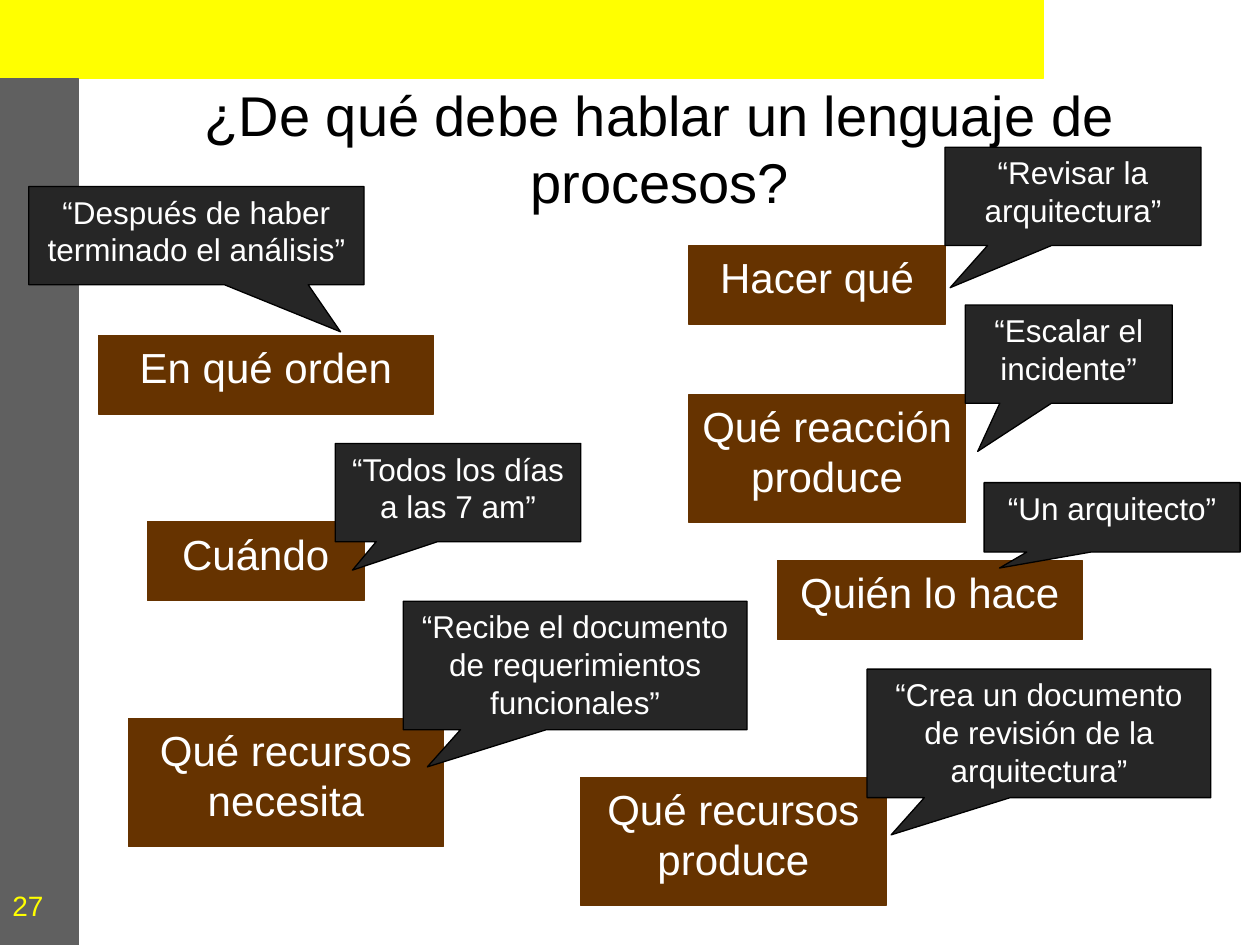
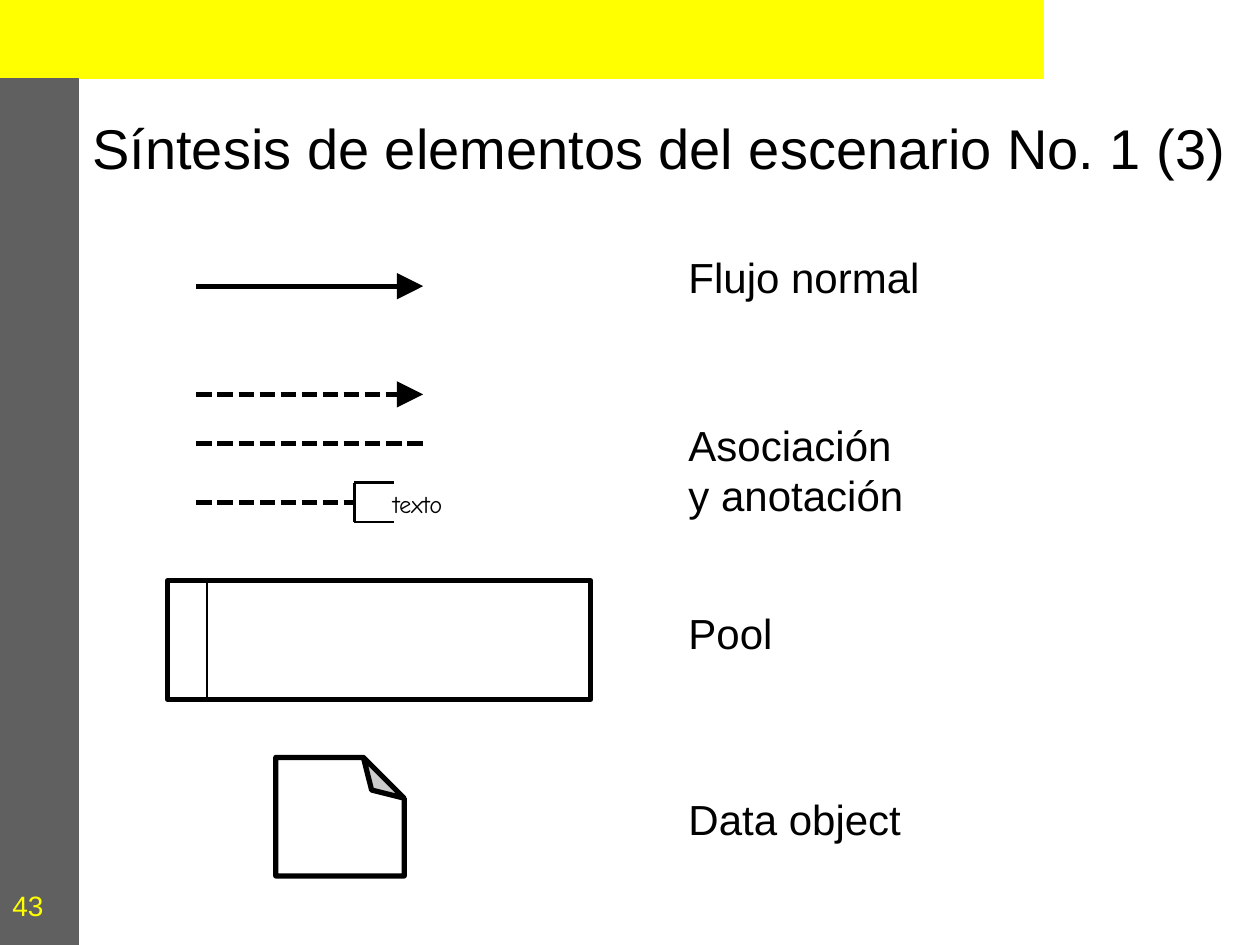
from lxml.etree import SubElement
from pptx import Presentation
from pptx.dml.color import RGBColor
from pptx.enum.dml import MSO_LINE as Dash
from pptx.enum.shapes import MSO_CONNECTOR as Link, MSO_SHAPE as Kind
from pptx.enum.text import MSO_ANCHOR as Anchor, MSO_AUTO_SIZE as Fit, PP_ALIGN as Align
from pptx.oxml.ns import qn
from pptx.util import Cm, Pt

BLACK = RGBColor(0x00, 0x00, 0x00)
WHITE = RGBColor(0xFF, 0xFF, 0xFF)
YELLOW = RGBColor(0xFF, 0xFF, 0x00)
GRAY = RGBColor(0x60, 0x60, 0x60)
BROWN = RGBColor(0x66, 0x33, 0x00)
DARK = RGBColor(0x26, 0x26, 0x26)

FONT = "Arial"
HAND = "Comic Neue"
BAND = 1.59

# Topics: left, top, width, height, text
TOPICS = [
    (13.89, 4.95, 5.16, 1.59, "Hacer qué"),
    (15.67, 11.3, 6.15, 1.59, "Quién lo hace"),
    (2.59, 14.48, 6.35, 2.59, "Qué recursos necesita"),
    (1.98, 6.76, 6.76, 1.59, "En qué orden"),
    (2.97, 10.52, 4.37, 1.59, "Cuándo"),
    (11.71, 15.67, 6.15, 2.59, "Qué recursos produce"),
    (13.89, 7.95, 5.57, 2.59, "Qué reacción produce"),
]

# Quotes: left, top, width, height, pointer, text
QUOTES = [
    (0.58, 3.76, 6.76, 1.98, (0.43, 0.98), "“Después de haber terminado el análisis”"),
    (6.76, 8.94, 4.95, 1.98, (-0.43, 0.79), "“Todos los días a las 7 am”"),
    (8.13, 12.12, 6.93, 2.59, (-0.43, 0.79),
     "“Recibe el documento de requerimientos funcionales”"),
    (17.48, 13.49, 6.93, 2.59, (-0.43, 0.79),
     "“Crea un documento de revisión de la arquitectura”"),
    (19.05, 2.97, 5.16, 1.98, (-0.48, 0.93), "“Revisar la arquitectura”"),
    (19.46, 6.15, 4.17, 1.98, (-0.44, 0.99), "“Escalar el incidente”"),
    (19.84, 9.73, 5.16, 1.4, (-0.44, 0.73), "“Un arquitecto”"),
]

# Legend: top, text
LEGEND = [
    (4.95, "Flujo normal"),
    (8.33, "Asociación y anotación"),
    (12.12, "Pool"),
    (15.88, "Data object"),
]


def write(frame, text, size, color, align=Align.LEFT, anchor=Anchor.TOP, font=FONT):
    frame.text = text
    frame.word_wrap = True
    frame.vertical_anchor = anchor
    para = frame.paragraphs[0]
    para.alignment = align
    style = para.runs[0].font
    style.name, style.size = font, Pt(size)
    style.color.rgb = color


def add_block(slide, kind, left, top, width, height, fill, line, weight=0.75):
    block = slide.shapes.add_shape(kind, Cm(left), Cm(top), Cm(width), Cm(height))
    block.shadow.inherit = False
    block.fill.solid()
    block.fill.fore_color.rgb = fill
    block.line.color.rgb = line
    block.line.width = Pt(weight)
    return block


def add_label(slide, left, top, width, height, text, size, color=BLACK, font=FONT):
    box = slide.shapes.add_textbox(Cm(left), Cm(top), Cm(width), Cm(height))
    write(box.text_frame, text, size, color, font=font)
    return box.text_frame


def add_tag(slide, left, top, width, height, text, size, font=FONT):
    frame = add_label(slide, left, top, width, height, text, size, font=font)
    frame.word_wrap = False
    frame.auto_size = Fit.SHAPE_TO_FIT_TEXT


def add_line(slide, x1, y1, x2, y2, weight, dash=False, arrow=False):
    line = slide.shapes.add_connector(Link.STRAIGHT, Cm(x1), Cm(y1), Cm(x2), Cm(y2))
    line.line.color.rgb = BLACK
    line.line.width = Pt(weight)
    if dash:
        line.line.dash_style = Dash.SQUARE_DOT
    props = line.element.spPr
    if arrow:
        SubElement(props.find(qn("a:ln")), qn("a:tailEnd"), type="triangle", w="lg", len="lg")
    SubElement(props, qn("a:effectLst"))


def add_bands(layout, slide):
    # Bands drawn on a slide move into the layout, behind everything
    top = add_block(slide, Kind.RECTANGLE, 0, 0, 21.03, BAND, YELLOW, YELLOW)
    side = add_block(slide, Kind.RECTANGLE, 0, BAND, BAND, 19.05 - BAND, GRAY, GRAY)
    for spot, band in enumerate((top, side), 2):
        layout.shapes.element.insert(spot, band.element)


def add_page(deck, title, number):
    slide = deck.slides.add_slide(deck.slide_layouts[5])
    head = slide.shapes.title
    head.left, head.top, head.width, head.height = Cm(1.59), Cm(1.78), Cm(23.42), Cm(2.38)
    frame = head.text_frame
    frame.margin_left = frame.margin_right = frame.margin_top = frame.margin_bottom = 0
    frame.auto_size = Fit.NONE
    write(frame, title, 32, BLACK, Align.CENTER, Anchor.MIDDLE)
    page = add_label(slide, 0, 17.46, BAND, BAND, str(number), 16, YELLOW)
    page.vertical_anchor = Anchor.MIDDLE
    return slide


def add_topics(slide):
    for *area, text in TOPICS:
        box = add_block(slide, Kind.RECTANGLE, *area, BROWN, BROWN)
        write(box.text_frame, text, 24, WHITE, Align.CENTER)


def add_quotes(slide):
    for *area, tip, text in QUOTES:
        quote = add_block(slide, Kind.RECTANGULAR_CALLOUT, *area, DARK, BLACK)
        quote.adjustments[0], quote.adjustments[1] = tip
        write(quote.text_frame, text, 18, WHITE, Align.CENTER)


def add_flows(slide):
    left, right = 3.96, 8.53
    add_line(slide, left, 5.77, right, 5.77, 3, arrow=True)
    add_line(slide, left, 7.95, right, 7.95, 3, dash=True, arrow=True)
    add_line(slide, left, 8.94, right, 8.94, 3, dash=True)


def add_note(slide):
    # Dashed link, bracket and its text
    left, right, top, bottom = 7.14, 7.94, 9.73, 10.52
    mid = (top + bottom) / 2
    add_line(slide, 3.96, mid, left, mid, 3, dash=True)
    add_line(slide, left, top, left, bottom, 1.5)
    for y in (top, bottom):
        add_line(slide, left, y, right, y, 1.5)
    add_tag(slide, 7.67, top, 1.52, 0.86, "texto", 14, HAND)


def add_pool(slide):
    left, top, height = 3.38, 11.71, 2.39
    add_block(slide, Kind.RECTANGLE, left, top, 8.53, height, WHITE, BLACK, 3)
    add_line(slide, left + 0.79, top, left + 0.79, top + height, 1.5)


def add_sheet(slide):
    sheet = add_block(slide, Kind.FOLDED_CORNER, 5.56, 15.27, 2.59, 2.39, WHITE, BLACK, 3)
    props = sheet.element.spPr
    props.xfrm.set("flipV", "1")
    # Size of the fold
    fold = props.find(qn("a:prstGeom")).find(qn("a:avLst"))
    SubElement(fold, qn("a:gd"), name="adj", fmla="val 34400")


def main():
    deck = Presentation()
    deck.slide_width, deck.slide_height = Cm(25.4), Cm(19.05)

    # What a process language talks about
    talk = add_page(deck, "¿De qué debe hablar un lenguaje de procesos?", 27)
    add_bands(talk.slide_layout, talk)
    add_topics(talk)
    add_quotes(talk)

    # Notation summary
    recap = add_page(deck, "Síntesis de elementos del escenario No. 1 (3)", 43)
    for top, text in LEGEND:
        add_tag(recap, 13.63, top, 5.16, 1.27, text, 24)
    add_flows(recap)
    add_note(recap)
    add_pool(recap)
    add_sheet(recap)

    deck.save("out.pptx")


if __name__ == "__main__":
    main()
